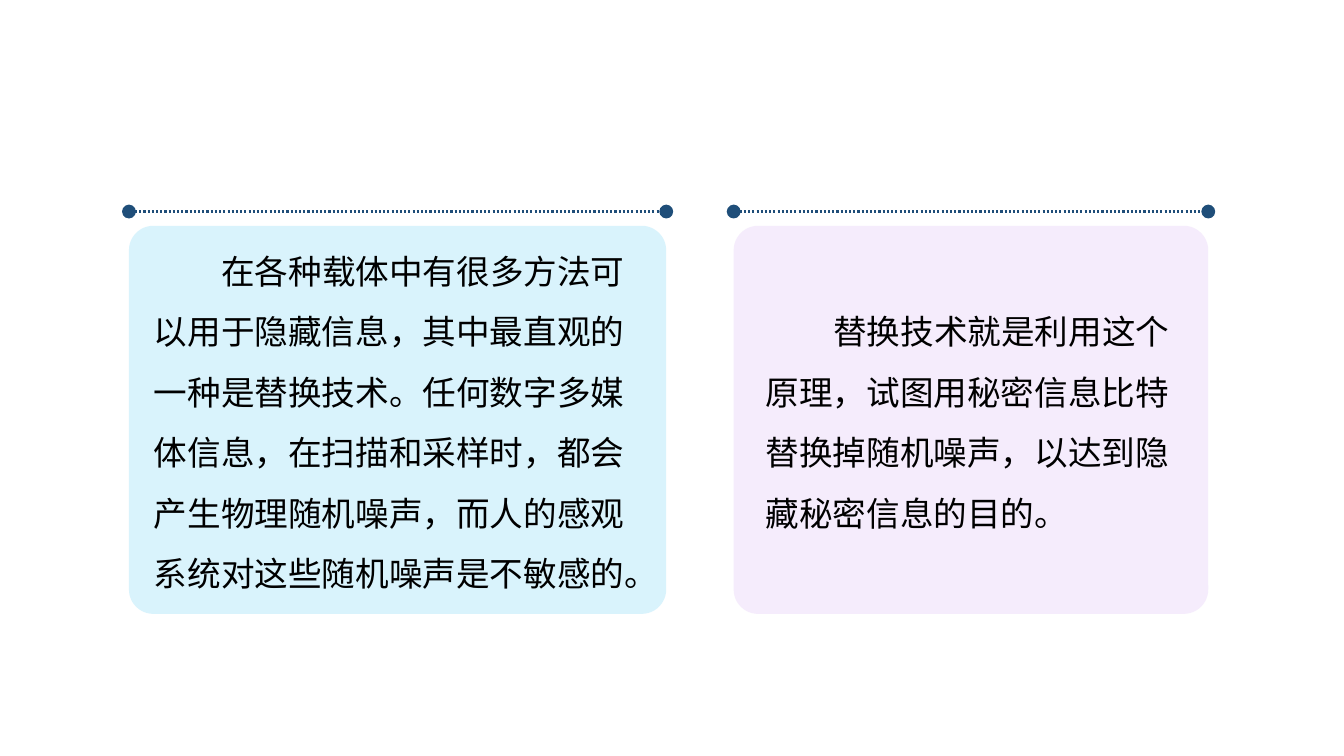
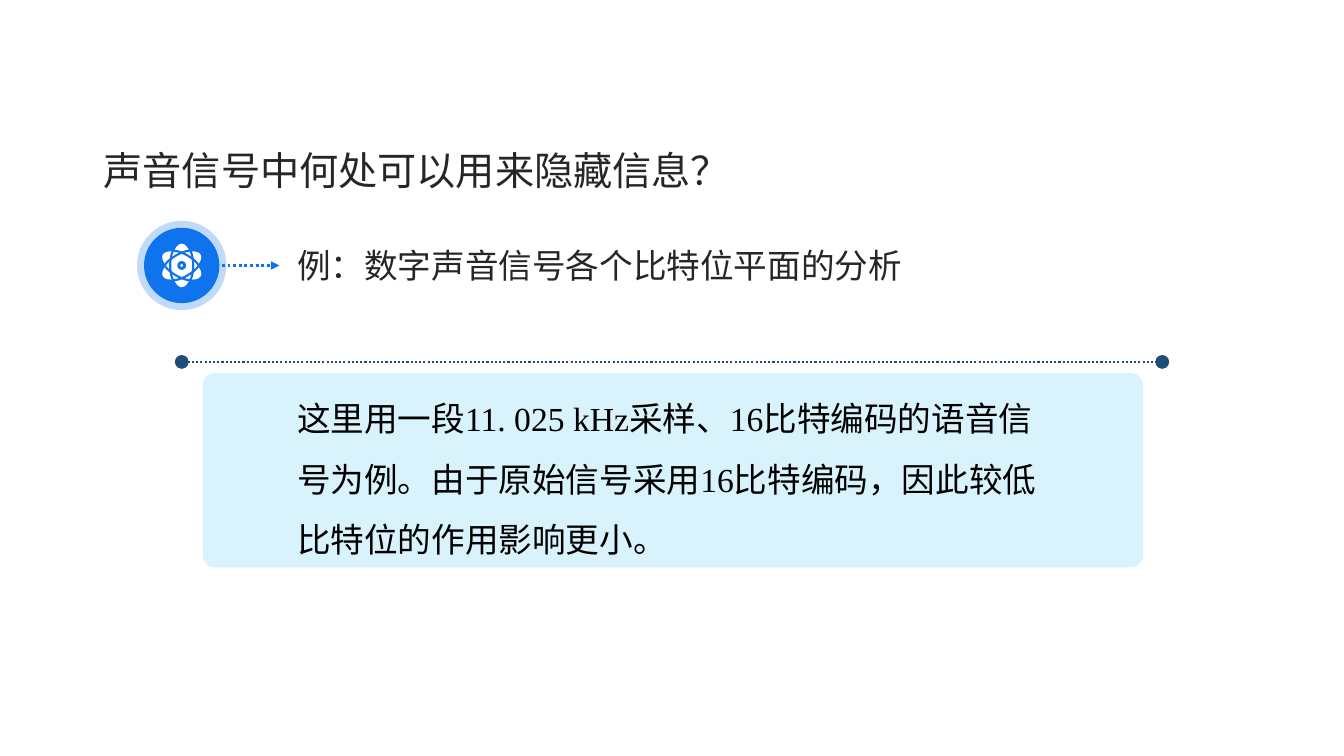
from dataclasses import dataclass

from lxml.etree import SubElement
from pptx import Presentation
from pptx.dml.color import RGBColor
from pptx.enum.dml import MSO_LINE
from pptx.enum.shapes import MSO_CONNECTOR, MSO_SHAPE
from pptx.enum.text import MSO_ANCHOR, PP_ALIGN
from pptx.oxml.ns import qn
from pptx.util import Cm, Pt


@dataclass(frozen=True)
class Theme:
    navy: str = "1F4E79"
    blue: str = "0F73EE"
    sky: str = "00B0F0"
    lilac: str = "E3C9F7"
    white: str = "FFFFFF"
    black: str = "000000"
    dark: str = "262626"
    font: str = "Noto Sans CJK SC"
    latin: str = "Times New Roman"
    title: int = 28
    body: int = 24
    leading: float = 1.5
    indent: float = 1.7
    corner: float = 0.063


T = Theme()


def rgb(value):
    return RGBColor.from_string(value)


def set_alpha(fill_owner, percent):
    """Make the solid colour under an XML element partly transparent."""
    color = next(fill_owner.iter(qn("a:srgbClr")))
    SubElement(color, qn("a:alpha"), val=str(percent * 1000))


def add_preset(s, kind, left, top, width, height, fill=None):
    sp = s.shapes.add_shape(kind, Cm(left), Cm(top), Cm(width), Cm(height))
    sp.shadow.inherit = False
    sp.line.fill.background()
    if fill:
        sp.fill.solid()
        sp.fill.fore_color.rgb = rgb(fill)
    else:
        sp.fill.background()
    return sp


def outline(sp, color, width):
    sp.line.color.rgb = rgb(color)
    sp.line.width = Pt(width)


def add_dotted_line(s, x1, x2, y, color, width, head=None, tail=None, size="med"):
    line = s.shapes.add_connector(MSO_CONNECTOR.STRAIGHT, Cm(x1), Cm(y), Cm(x2), Cm(y))
    outline(line, color, width)
    line.line.dash_style = MSO_LINE.ROUND_DOT
    ln = line.line._get_or_add_ln()
    for tag, end in (("a:headEnd", head), ("a:tailEnd", tail)):
        if end:
            SubElement(ln, qn(tag), type=end, w=size, len=size)
    SubElement(line._element.spPr, qn("a:effectLst"))


def format_run(r, size, color, font=T.font):
    r.font.size = Pt(size)
    r.font.color.rgb = rgb(color)
    r.font.name = font
    SubElement(r._r.get_or_add_rPr(), qn("a:ea"), typeface=T.font)


def add_text(s, left, top, width, height, runs, color=T.black, wrap=True,
             leading=None, indent=0):
    """Add one paragraph made of (text, font) runs."""
    tf = s.shapes.add_textbox(Cm(left), Cm(top), Cm(width), Cm(height)).text_frame
    tf.word_wrap = wrap
    p = tf.paragraphs[0]
    p.line_spacing = leading
    if indent:
        p._p.get_or_add_pPr().set("indent", str(Cm(indent)))
    for text, font in runs:
        r = p.add_run()
        r.text = text
        format_run(r, T.body, color, font)


def add_panel(s, left, top, width, height, fill, opacity):
    sp = add_preset(s, MSO_SHAPE.ROUNDED_RECTANGLE, left, top, width, height, fill)
    sp.adjustments[0] = T.corner
    set_alpha(sp._element.spPr, opacity)


def add_rule(s, x1, x2, y):
    """Draw the dotted rule with round ends that heads a panel."""
    add_dotted_line(s, x1, x2, y, T.navy, 1.5, "oval", "oval", "lg")


def add_title(s, text, left, top, width, height):
    title = s.shapes.title
    title.left, title.top, title.width, title.height = map(Cm, (left, top, width, height))
    tf = title.text_frame
    tf.text = text
    tf.word_wrap = False
    tf.vertical_anchor = MSO_ANCHOR.TOP
    p = tf.paragraphs[0]
    p.alignment = PP_ALIGN.LEFT
    format_run(p.runs[0], T.title, T.dark)


def add_atom(s, cx, cy):
    """Draw three crossed orbits around a nucleus on a haloed disc."""
    def centred(width, height, fill=None):
        return add_preset(s, MSO_SHAPE.OVAL, cx - width / 2, cy - height / 2,
                          width, height, fill)

    disc = centred(1.9, 1.9, T.blue)
    outline(disc, T.blue, 10)
    set_alpha(disc.line._get_or_add_ln(), 25)
    for fill in (T.white, None):
        for angle in (0, 60, 120):
            orbit = centred(0.58, 1.16, fill)
            orbit.rotation = angle
            if fill is None:
                outline(orbit, T.blue, 1.5)
    outline(centred(0.15, 0.15, T.white), T.blue, 2)


def build_principle(prs):
    s = prs.slides.add_slide(prs.slide_layouts[6])
    columns = (
        (3.25, 13.54, T.sky, 15, (3.63, 5.69, 12.8, 9.32),
         "在各种载体中有很多方法可以用于隐藏信息，其中最直观的一种是替换技术。"
         "任何数字多媒体信息，在扫描和采样时，都会产生物理随机噪声，"
         "而人的感观系统对这些随机噪声是不敏感的。"),
        (18.49, 11.96, T.lilac, 34, (19.05, 7.21, 10.82, 6.25),
         "替换技术就是利用这个原理，试图用秘密信息比特替换掉随机噪声，"
         "以达到隐藏秘密信息的目的。"),
    )
    for left, width, fill, opacity, text_box, text in columns:
        add_rule(s, left, left + width, 5.33)
        add_panel(s, left, 5.69, width, 9.78, fill, opacity)
        add_text(s, *text_box, [(text, T.font)], leading=T.leading, indent=T.indent)


def build_example(prs):
    s = prs.slides.add_slide(prs.slide_layouts[5])
    add_title(s, "声音信号中何处可以用来隐藏信息？", 2.36, 3.56, 16.31, 1.45)
    add_atom(s, 4.58, 6.69)
    add_dotted_line(s, 5.31, 7.04, 6.69, T.blue, 2, tail="triangle")
    add_text(s, 7.24, 6.05, 15.9, 1.27,
             [("例：数字声音信号各个比特位平面的分析", T.font)], T.dark, wrap=False)
    add_rule(s, 4.58, 29.29, 9.12)
    add_panel(s, 5.11, 9.4, 23.7, 4.9, T.sky, 15)
    add_text(s, 7.24, 9.4, 19.46, 4.72, [
        ("这里用一段", T.font),
        ("11. 025 kHz", T.latin),
        ("采样、", T.font),
        ("16", T.latin),
        ("比特编码的语音信号为例。由于原始信号采用", T.font),
        ("16", T.latin),
        ("比特编码，因此较低比特位的作用影响更小。", T.font),
    ], leading=T.leading)


def main():
    prs = Presentation()
    prs.slide_width, prs.slide_height = Cm(33.87), Cm(19.05)
    build_principle(prs)
    build_example(prs)
    prs.save("out.pptx")


if __name__ == "__main__":
    main()
